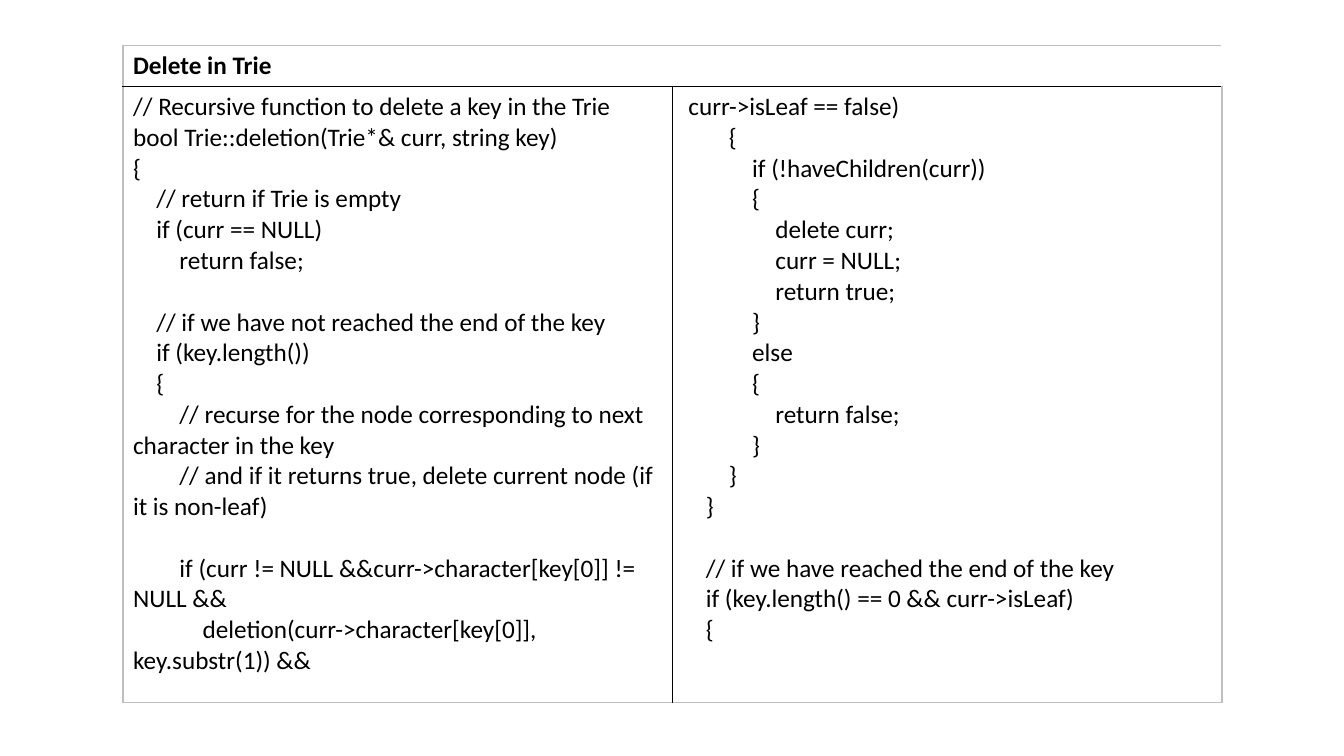
from dataclasses import dataclass

from lxml import etree
from pptx import Presentation
from pptx.dml.color import RGBColor
from pptx.oxml.ns import qn
from pptx.util import Inches, Pt


@dataclass(frozen=True)
class Theme:
    font: str = "Calibri"
    size: int = 18
    line_height: int = 22
    text: str = "000000"
    inner: str = "000000"
    outer: str = "BFBFBF"


theme = Theme()
INDENT_STEP = 0.23  # inches for one level of four spaces
LEFT, TOP, COL_WIDTH = 1.22, 0.45, 5.45
ROW_HEIGHTS = (0.41, 6.11)

DELETE_START = """\
// Recursive function to delete a key in the Trie
bool Trie::deletion(Trie*& curr, string key)
{
    // return if Trie is empty
    if (curr == NULL)
        return false;

    // if we have not reached the end of the key
    if (key.length())
    {
        // recurse for the node corresponding to next character in the key
        // and if it returns true, delete current node (if it is non-leaf)

        if (curr != NULL &&curr->character[key[0]] != NULL &&
            deletion(curr->character[key[0]], key.substr(1)) &&"""

DELETE_REST = """\
 curr->isLeaf == false)
        {
            if (!haveChildren(curr))
            {
                delete curr;
                curr = NULL;
                return true;
            }
            else
            {
                return false;
            }
        }
    }

    // if we have reached the end of the key
    if (key.length() == 0 && curr->isLeaf)
    {"""


def write_code(cell, code, bold=False):
    """Turn leading spaces into first-line indents and blank lines into spacing."""
    tf = cell.text_frame
    p, gap = tf.paragraphs[0], 0
    for number, line in enumerate(code.split("\n")):
        text = line.lstrip()
        if not text:
            gap += theme.line_height
            continue
        if number:
            p = tf.add_paragraph()
        if gap:
            p.space_before = Pt(gap)
            gap = 0
        depth = (len(line) - len(text)) / 4
        pPr = p._p.get_or_add_pPr()
        pPr.set("marL", "0")
        pPr.set("indent", str(int(Inches(INDENT_STEP * depth))))
        r = p.add_run()
        r.text = text
        for name, value in {"name": theme.font, "size": Pt(theme.size), "bold": bold}.items():
            setattr(r.font, name, value)
        r.font.color.rgb = RGBColor.from_string(theme.text)


def set_border(cell, side, color):
    ln = etree.SubElement(cell._tc.get_or_add_tcPr(), qn(f"a:ln{side}"), w=str(int(Pt(1))))
    fill = etree.SubElement(ln, qn("a:solidFill"))
    etree.SubElement(fill, qn("a:srgbClr"), val=color)


# Slide
prs = Presentation()
prs.slide_width, prs.slide_height = Inches(13.33), Inches(7.5)
s = prs.slides.add_slide(prs.slide_layouts[6])

# Table: a heading over two columns of code
table = s.shapes.add_table(
    2, 2, Inches(LEFT), Inches(TOP), Inches(2 * COL_WIDTH), Inches(sum(ROW_HEIGHTS))
).table
table.first_row = table.horz_banding = False
for col in table.columns:
    col.width = Inches(COL_WIDTH)
for row, height in zip(table.rows, ROW_HEIGHTS):
    row.height = Inches(height)
table.cell(0, 0).merge(table.cell(0, 1))

# Borders: grey around the table, black between cells
for i in range(2):
    for j in range(2):
        cell = table.cell(i, j)
        on_edge = {"L": j == 0, "R": j == 1, "T": i == 0, "B": i == 1}
        for side, outside in on_edge.items():
            if i == 0 and side in "LR" and not outside:
                continue
            set_border(cell, side, theme.outer if outside else theme.inner)
        cell.fill.background()

# Text
write_code(table.cell(0, 0), "Delete in Trie", bold=True)
write_code(table.cell(1, 0), DELETE_START)
write_code(table.cell(1, 1), DELETE_REST)

prs.save("out.pptx")
